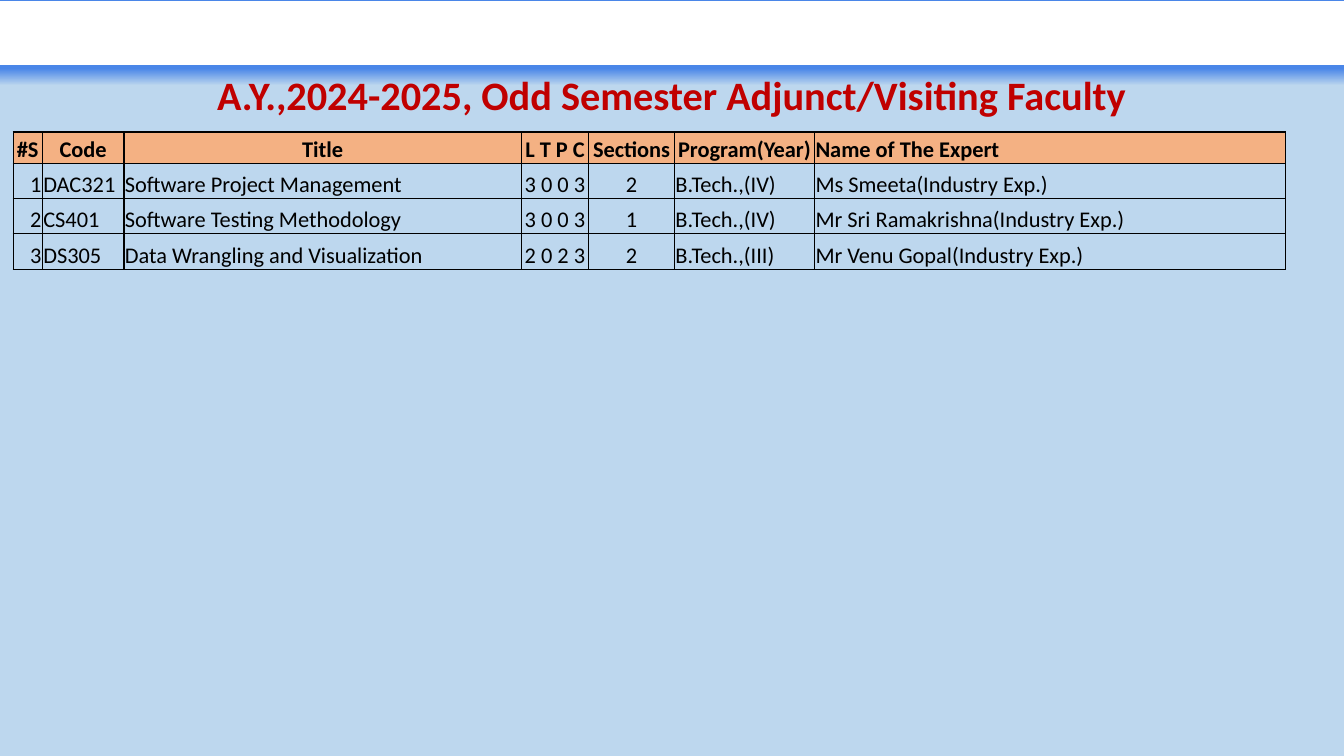
import pptx
import pptx.util
import pptx.dml.color
import pptx.enum.shapes
import pptx.enum.text
import pptx.oxml

Inches = pptx.util.Inches
Pt = pptx.util.Pt
ALIGN = pptx.enum.text.PP_ALIGN
ANCHOR = pptx.enum.text.MSO_ANCHOR
COLORS = {"sky": "BDD7EE", "blue": "4A86E8", "white": "FFFFFF",
          "red": "C00000", "black": "000000", "peach": "F4B183"}
L, C, R = ALIGN.LEFT, ALIGN.CENTER, ALIGN.RIGHT

WIDTHS = [0.29, 0.81, 3.94, 0.67, 0.85, 1.39, 4.67]
HEIGHTS = [0.31, 0.35, 0.35, 0.35]
HEAD_ALIGN = [C, C, C, C, C, C, L]
BODY_ALIGN = [R, L, L, C, C, L, L]
COURSES = [
    ["#S", "Code", "Title", "L T P C", "Sections", "Program(Year)", "Name of The Expert"],
    ["1", "DAC321", "Software Project Management", "3 0 0 3", "2",
     "B.Tech.,(IV)", "Ms Smeeta(Industry Exp.)"],
    ["2", "CS401", "Software Testing Methodology", "3 0 0 3", "1",
     "B.Tech.,(IV)", "Mr Sri Ramakrishna(Industry Exp.)"],
    ["3", "DS305", "Data Wrangling and Visualization", "2 0 2 3", "2",
     "B.Tech.,(III)", "Mr Venu Gopal(Industry Exp.)"],
]


def color(name):
    return pptx.dml.color.RGBColor.from_string(COLORS[name])


class Page:
    """Holds the current slide and the style its elements share."""
    font = "Calibri"

    def __init__(self, deck):
        self.slide = deck.slides.add_slide(deck.slide_layouts[5])
        fill = self.slide.background.fill
        fill.solid()
        fill.fore_color.rgb = color("sky")

    def style(self, para, size, ink, bold, align):
        para.alignment = align
        font = para.font
        font.name, font.size, font.bold = self.font, Pt(size), bold
        font.color.rgb = color(ink)

    def title(self, text, left, top, width, height):
        box = self.slide.shapes.title
        box.left, box.top = Inches(left), Inches(top)
        box.width, box.height = Inches(width), Inches(height)
        frame = box.text_frame
        frame.text = text
        frame.word_wrap = True
        frame.auto_size = pptx.enum.text.MSO_AUTO_SIZE.NONE
        frame.vertical_anchor = ANCHOR.MIDDLE
        para = frame.paragraphs[0]
        para.line_spacing = 0.9
        self.style(para, 28.8, "red", True, C)

    def rect(self, left, top, width, height):
        box = self.slide.shapes.add_shape(
            pptx.enum.shapes.MSO_SHAPE.RECTANGLE,
            Inches(left), Inches(top), Inches(width), Inches(height))
        box.shadow.inherit = False
        return box

    def bar(self, *place):
        box = self.rect(*place)
        box.fill.solid()
        box.fill.fore_color.rgb = color("white")
        box.line.color.rgb = color("white")
        box.line.width = Pt(1)

    def fade(self, *place):
        """Draw a band behind the title that fades down into the background."""
        box = self.rect(*place)
        box.line.fill.background()
        box.fill.gradient()
        box.fill.gradient_angle = 270
        for stop, name, pos in zip(box.fill.gradient_stops, ("blue", "sky"), (0.8, 1)):
            stop.color.rgb = color(name)
            stop.position = pos
        self.slide.shapes.title.element.addprevious(box.element)

    def border(self, cell):
        props = cell._tc.get_or_add_tcPr()
        for i, side in enumerate(("lnL", "lnR", "lnT", "lnB")):
            props.insert(i, pptx.oxml.parse_xml(
                f'<a:{side} xmlns:a="http://schemas.openxmlformats.org/drawingml/2006/main"'
                f' w="12700"><a:solidFill><a:srgbClr val="{COLORS["black"]}"/>'
                f'</a:solidFill></a:{side}>'))

    def cell(self, cell, text, head, align):
        cell.text = text
        cell.vertical_anchor = ANCHOR.BOTTOM
        cell.margin_left = cell.margin_right = cell.margin_top = Inches(0.01)
        cell.margin_bottom = 0
        self.style(cell.text_frame.paragraphs[0], 16, "black", head, align)
        if head:
            cell.fill.solid()
            cell.fill.fore_color.rgb = color("peach")
        else:
            cell.fill.background()
        self.border(cell)

    def table(self, rows, left, top):
        table = self.slide.shapes.add_table(
            len(rows), len(WIDTHS), Inches(left), Inches(top),
            Inches(sum(WIDTHS)), Inches(sum(HEIGHTS))).table
        table.first_row = table.horz_banding = False
        for col, width in zip(table.columns, WIDTHS):
            col.width = Inches(width)
        for r, row in enumerate(rows):
            table.rows[r].height = Inches(HEIGHTS[r])
            aligns = BODY_ALIGN if r else HEAD_ALIGN
            for c, text in enumerate(row):
                self.cell(table.cell(r, c), text, r == 0, aligns[c])


def main():
    deck = pptx.Presentation()
    deck.slide_width, deck.slide_height = Inches(13.33), Inches(7.5)
    page = Page(deck)
    page.title("A.Y.,2024-2025, Odd Semester Adjunct/Visiting Faculty",
               0.1, 0.7, 13.13, 0.54)
    page.fade(0, 0, 13.33, 0.85)
    page.bar(0, 0.02, 13.33, 0.62)
    page.table(COURSES, 0.13, 1.31)
    deck.save("out.pptx")


if __name__ == "__main__":
    main()
